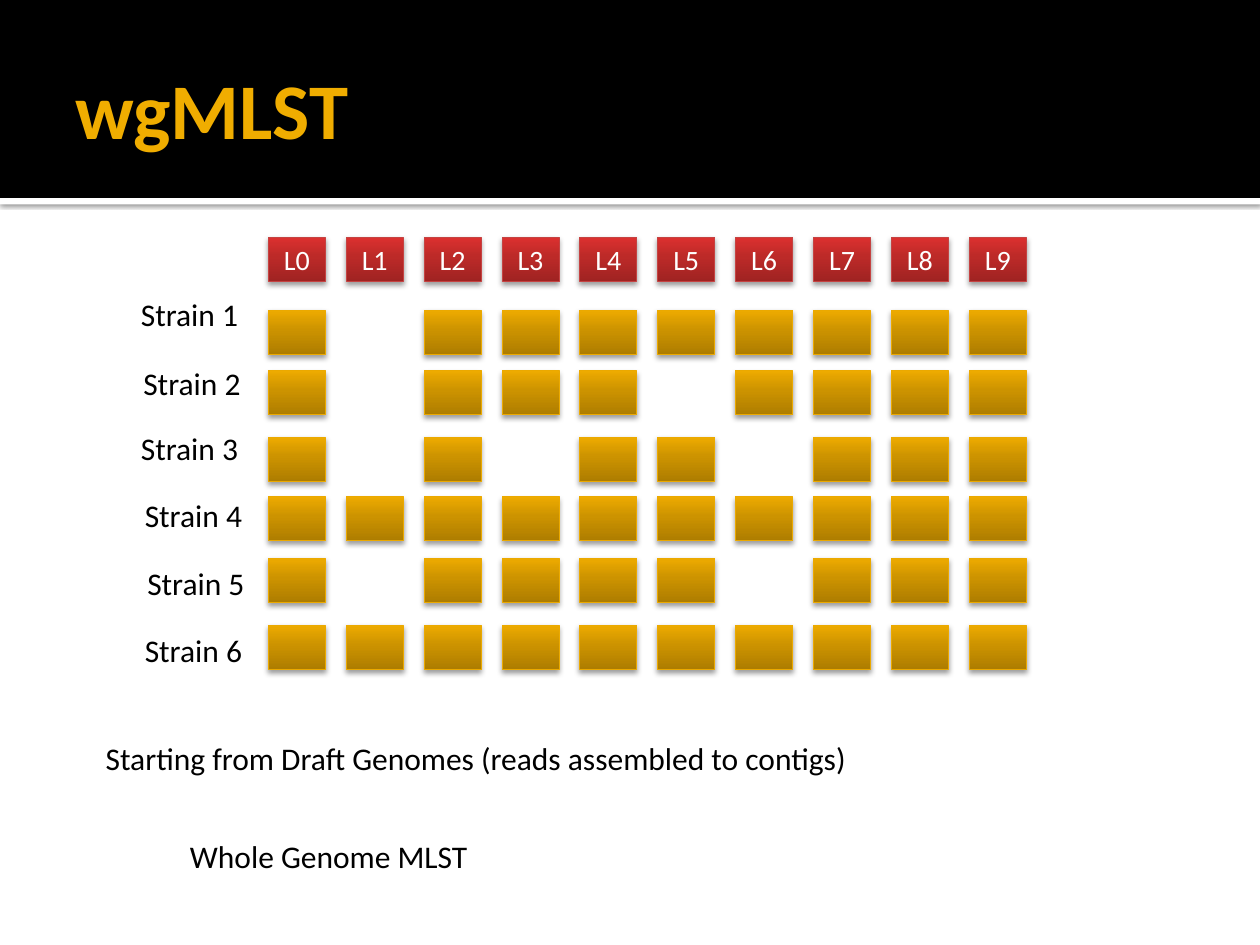
from dataclasses import dataclass

from lxml.etree import SubElement
from pptx import Presentation
from pptx.dml.color import RGBColor
from pptx.enum.shapes import MSO_SHAPE
from pptx.enum.text import MSO_ANCHOR, MSO_AUTO_SIZE, PP_ALIGN
from pptx.oxml.ns import qn
from pptx.util import Cm, Pt


@dataclass(frozen=True)
class Theme:
    """Colours, font and type sizes of the slide."""
    font: str = "Calibri"
    black: str = "000000"
    white: str = "FFFFFF"
    title: str = "F0AD00"
    gold: tuple = ("AE7D00", "CC9300", "EEAB00")
    gold_line: str = "EBA900"
    red: tuple = ("A02322", "BC2A28", "DC302F")
    red_line: str = "C54342"
    title_size: float = 45
    body_size: float = 18
    locus_size: float = 16


THEME = Theme()
LOCUS_COUNT = 10
GRID_LEFT, COLUMN_PITCH = 5.41, 1.57
CELL_WIDTH, CELL_HEIGHT = 1.15, 0.89
HEADER_TOP = 4.78
STRAINS = [
    ("Strain 1", 2.59, 5.82, 6.25, {1}),
    ("Strain 2", 2.64, 7.21, 7.47, {1, 5}),
    ("Strain 3", 2.59, 8.53, 8.81, {1, 3, 6}),
    ("Strain 4", 2.67, 9.88, 10.01, set()),
    ("Strain 5", 2.72, 11.25, 11.25, {1, 6}),
    ("Strain 6", 2.67, 12.6, 12.6, set()),
]


def write_text(shape, text, size=THEME.body_size, color=THEME.black, bold=False,
               align=PP_ALIGN.LEFT, anchor=MSO_ANCHOR.TOP):
    """Put one formatted paragraph into a shape."""
    frame = shape.text_frame
    frame.vertical_anchor = anchor
    paragraph = frame.paragraphs[0]
    paragraph.alignment = align
    run = paragraph.add_run()
    run.text = text
    run.font.name = THEME.font
    run.font.size = Pt(size)
    run.font.bold = bold
    run.font.color.rgb = RGBColor.from_string(color)


def add_shadow(shape, opacity, blur, distance):
    """Give a shape a black shadow that falls straight down."""
    shape.shadow.inherit = False
    effects = shape._element.spPr.find(qn("a:effectLst"))
    shadow = SubElement(effects, qn("a:outerShdw"), blurRad=str(Pt(blur)),
                        dist=str(Pt(distance)), dir="5400000", rotWithShape="0")
    color = SubElement(shadow, qn("a:srgbClr"), val=THEME.black)
    SubElement(color, qn("a:alpha"), val=str(opacity * 1000))


def fill_gradient(shape, colors):
    """Fill a shape with three colours rising from bottom to top."""
    shape.fill.solid()
    properties = shape._element.spPr
    solid = properties.find(qn("a:solidFill"))
    gradient = properties.makeelement(qn("a:gradFill"), {"rotWithShape": "1"})
    stops = SubElement(gradient, qn("a:gsLst"))
    for position, color in zip((0, 55, 100), colors):
        stop = SubElement(stops, qn("a:gs"), pos=str(position * 1000))
        SubElement(stop, qn("a:srgbClr"), val=color)
    SubElement(gradient, qn("a:lin"), ang="16200000", scaled="0")
    properties.replace(solid, gradient)


def add_band(slide, top, height, color):
    """Add a plain band across the full slide width."""
    band = slide.shapes.add_shape(MSO_SHAPE.RECTANGLE, 0, Cm(top), Cm(25.4), Cm(height))
    band.fill.solid()
    band.fill.fore_color.rgb = RGBColor.from_string(color)
    band.line.fill.background()
    band.shadow.inherit = False
    return band


def add_cell(slide, column, top, colors, line_color):
    """Add one shaded grid cell in a locus column."""
    left = GRID_LEFT + column * COLUMN_PITCH
    cell = slide.shapes.add_shape(MSO_SHAPE.RECTANGLE, Cm(left), Cm(top),
                                  Cm(CELL_WIDTH), Cm(CELL_HEIGHT))
    fill_gradient(cell, colors)
    cell.line.color.rgb = RGBColor.from_string(line_color)
    cell.line.width = Pt(0.5)
    add_shadow(cell, opacity=38, blur=3.1, distance=2)
    return cell


def add_label(slide, text, left, top, width):
    """Add a one-line text box."""
    label = slide.shapes.add_textbox(Cm(left), Cm(top), Cm(width), Cm(1.03))
    label.text_frame.word_wrap = False
    label.text_frame.auto_size = MSO_AUTO_SIZE.SHAPE_TO_FIT_TEXT
    write_text(label, text)


def place_title(slide, text):
    """Move the title onto the black band and format it."""
    title = slide.shapes.title
    title.left, title.top, title.width, title.height = Cm(1.27), Cm(0.43), Cm(22.86), Cm(3.48)
    frame = title.text_frame
    frame.auto_size = MSO_AUTO_SIZE.NONE
    frame.margin_left = Cm(0.25)
    frame.margin_top = frame.margin_right = frame.margin_bottom = Cm(0.13)
    write_text(title, text, size=THEME.title_size, color=THEME.title, bold=True,
               anchor=MSO_ANCHOR.MIDDLE)
    slide.shapes._spTree.append(title._element)


def add_header(slide):
    """Add the row of locus names."""
    for column in range(LOCUS_COUNT):
        cell = add_cell(slide, column, HEADER_TOP, THEME.red, THEME.red_line)
        write_text(cell, f"L{column}", size=THEME.locus_size, color=THEME.white,
                   align=PP_ALIGN.CENTER, anchor=MSO_ANCHOR.MIDDLE)


def add_strain(slide, name, label_left, label_top, row_top, missing):
    """Add a strain label and a cell for each locus it has."""
    add_label(slide, name, label_left, label_top, 2.54)
    for column in range(LOCUS_COUNT):
        if column not in missing:
            add_cell(slide, column, row_top, THEME.gold, THEME.gold_line)


def main():
    """Build and save the slide."""
    presentation = Presentation()
    presentation.slide_width, presentation.slide_height = Cm(25.4), Cm(19.05)
    slide = presentation.slides.add_slide(presentation.slide_layouts[5])
    strip = add_band(slide, 3.99, 0.13, THEME.white)
    add_shadow(strip, opacity=60, blur=2.5, distance=0.8)
    add_band(slide, 0, 3.99, THEME.black)
    place_title(slide, "wgMLST")
    add_header(slide)
    for strain in STRAINS:
        add_strain(slide, *strain)
    add_label(slide, "Starting from Draft Genomes (reads assembled to contigs)",
              1.88, 14.78, 15.93)
    add_label(slide, "Whole Genome MLST", 3.58, 16.74, 6.3)
    presentation.save("out.pptx")


if __name__ == "__main__":
    main()
